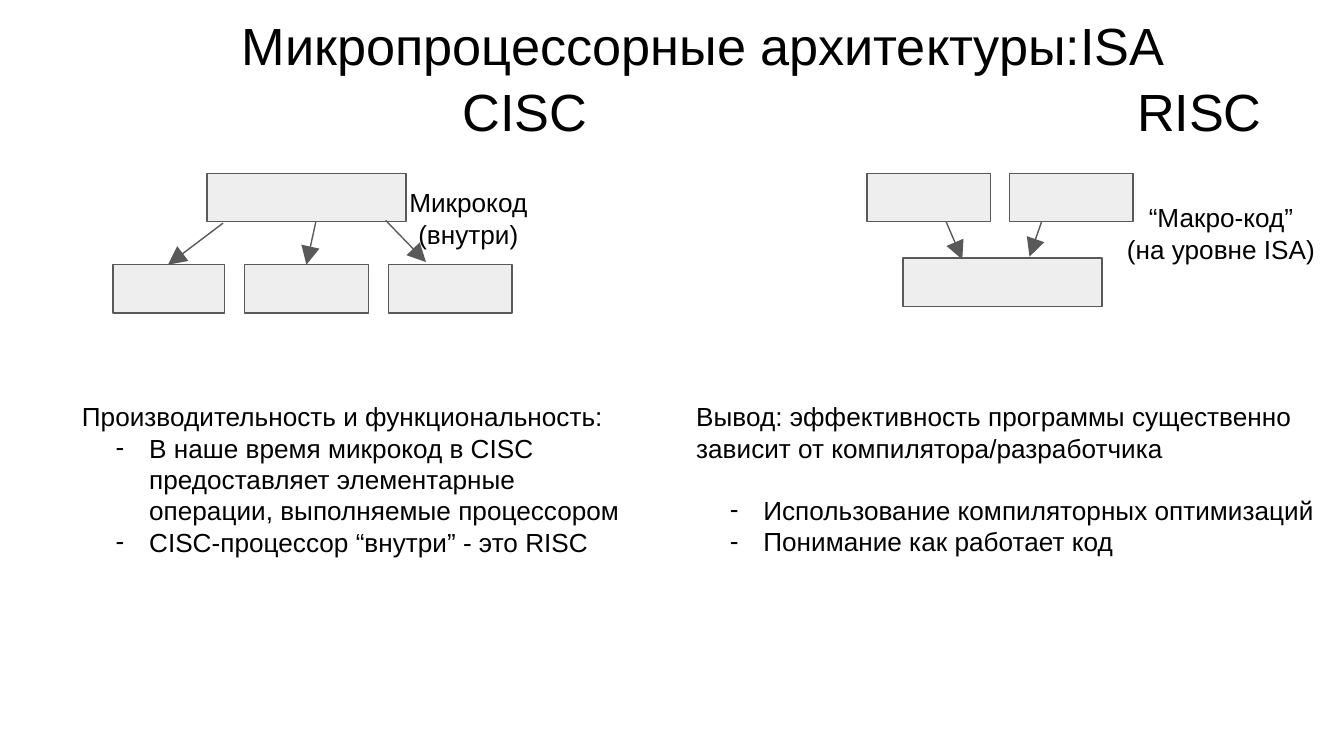
from pptx import Presentation
from pptx.dml.color import RGBColor
from pptx.enum.shapes import MSO_CONNECTOR as Connector, MSO_SHAPE as Shape
from pptx.enum.text import MSO_ANCHOR as Anchor, MSO_AUTO_SIZE as AutoSize, PP_ALIGN as Align
from pptx.oxml.ns import qn
from pptx.util import Inches, Pt
from lxml.etree import SubElement

BLACK, GREY, PALE = "000000", "595959", "EEEEEE"
COMPARISON_LAYOUT = 4
WIDE, NARROW, BOX_HEIGHT = 1.48, 0.92, 0.36

# Left, top and width of each instruction box
CISC_BOXES = [(1.54, 1.29, WIDE), (0.84, 1.97, 0.83),
              (1.82, 1.97, NARROW), (2.89, 1.97, NARROW)]
RISC_BOXES = [(6.45, 1.29, NARROW), (7.51, 1.29, NARROW), (6.72, 1.92, WIDE)]

# Start x, y and end x, y of each arrow
CISC_ARROWS = [(1.66, 1.66, 1.25, 1.97), (2.35, 1.65, 2.28, 1.97),
               (2.87, 1.64, 3.17, 1.95)]
RISC_ARROWS = [(7.75, 1.65, 7.66, 1.91), (7.04, 1.65, 7.16, 1.93)]

CISC_INTRO = "Производительность и функциональность:"
CISC_POINTS = [
    "В наше время микрокод в CISC предоставляет элементарные операции, "
    "выполняемые процессором",
    "CISC-процессор “внутри” - это RISC",
]
RISC_INTRO = ("Вывод: эффективность программы существенно зависит "
              "от компилятора/разработчика")
RISC_POINTS = ["Использование компиляторных оптимизаций",
               "Понимание как работает код"]


def color(value):
    return RGBColor.from_string(value)


def style_line(line):
    line.color.rgb = color(GREY)
    line.width = Pt(0.75)


def write(holder, area, lines, size, align=Align.LEFT):
    """Place a text holder and fill it with plain paragraphs."""
    holder.left, holder.top, holder.width, holder.height = map(Inches, area)
    frame = holder.text_frame
    frame.word_wrap = True
    frame.auto_size = AutoSize.NONE
    frame.vertical_anchor = Anchor.TOP
    frame.margin_left = frame.margin_right = Inches(0.1)
    frame.margin_top = frame.margin_bottom = Inches(0.1)
    frame.text = "\n".join(lines)
    for paragraph in frame.paragraphs:
        paragraph.alignment = align
        paragraph.space_before = paragraph.space_after = Pt(0)
        paragraph.line_spacing = 1.0
        font = paragraph.font
        font.name, font.size, font.bold = "Arial", Pt(size), False
        font.color.rgb = color(BLACK)
    return frame.paragraphs


def set_bullet(paragraph, mark=None):
    """Give a paragraph a hanging bullet, or clear the inherited one."""
    props = paragraph._p.get_or_add_pPr()
    props.set("marL", str(Inches(0.5) if mark else 0))
    props.set("indent", str(-Inches(0.25) if mark else 0))
    if mark:
        bullet = SubElement(props, qn("a:buChar"), char=mark)
    else:
        bullet = SubElement(props, qn("a:buNone"))
    # Bullets come before the default run properties
    defaults = props.find(qn("a:defRPr"))
    if defaults is not None:
        defaults.addprevious(bullet)


def add_heading(holder, area, text):
    for paragraph in write(holder, area, [text], 28):
        set_bullet(paragraph)


def add_points(holder, area, intro, points, gap=0):
    opening, *items = write(holder, area, [intro, *points], 14)
    set_bullet(opening)
    for item in items:
        set_bullet(item, "-")
    items[0].space_before = Pt(gap)


def add_label(slide, area, lines):
    label = slide.shapes.add_textbox(*map(Inches, area))
    write(label, area, lines, 14, Align.CENTER)


def add_box(slide, left, top, width):
    box = slide.shapes.add_shape(
        Shape.RECTANGLE, *map(Inches, (left, top, width, BOX_HEIGHT)))
    box.shadow.inherit = False
    box.fill.solid()
    box.fill.fore_color.rgb = color(PALE)
    style_line(box.line)


def add_arrow(slide, *ends):
    arrow = slide.shapes.add_connector(Connector.STRAIGHT, *map(Inches, ends))
    style_line(arrow.line)
    SubElement(arrow.line._get_or_add_ln(), qn("a:tailEnd"),
               type="triangle", w="lg", len="lg")
    SubElement(arrow._element.spPr, qn("a:effectLst"))


def main():
    deck = Presentation()
    # Widescreen, 16:9
    deck.slide_width = Inches(10)
    deck.slide_height = deck.slide_width * 9 // 16
    slide = deck.slides.add_slide(deck.slide_layouts[COMPARISON_LAYOUT])
    title, cisc_name, cisc_text, risc_name, risc_text = slide.placeholders

    # Title and column headings
    add_heading(title, (1.7, 0, 8.03, 0.63), "Микропроцессорные архитектуры:ISA")
    add_heading(cisc_name, (3.34, 0.49, 1.4, 0.63), "CISC")
    add_heading(risc_name, (8.36, 0.49, 1.4, 0.63), "RISC")

    # Conclusions under each diagram
    add_points(cisc_text, (0.51, 2.88, 4.24, 1.87), CISC_INTRO, CISC_POINTS)
    add_points(risc_text, (5.08, 2.88, 4.85, 1.87), RISC_INTRO, RISC_POINTS, gap=16.5)

    # Instruction diagrams
    for box in CISC_BOXES + RISC_BOXES:
        add_box(slide, *box)
    add_label(slide, (2.93, 1.29, 1.11, 0.96), ["Микрокод", "(внутри)"])
    add_label(slide, (8.01, 1.4, 2.15, 0.96), ["“Макро-код”", "(на уровне ISA)"])
    for arrow in CISC_ARROWS + RISC_ARROWS:
        add_arrow(slide, *arrow)

    deck.save("out.pptx")


if __name__ == "__main__":
    main()
